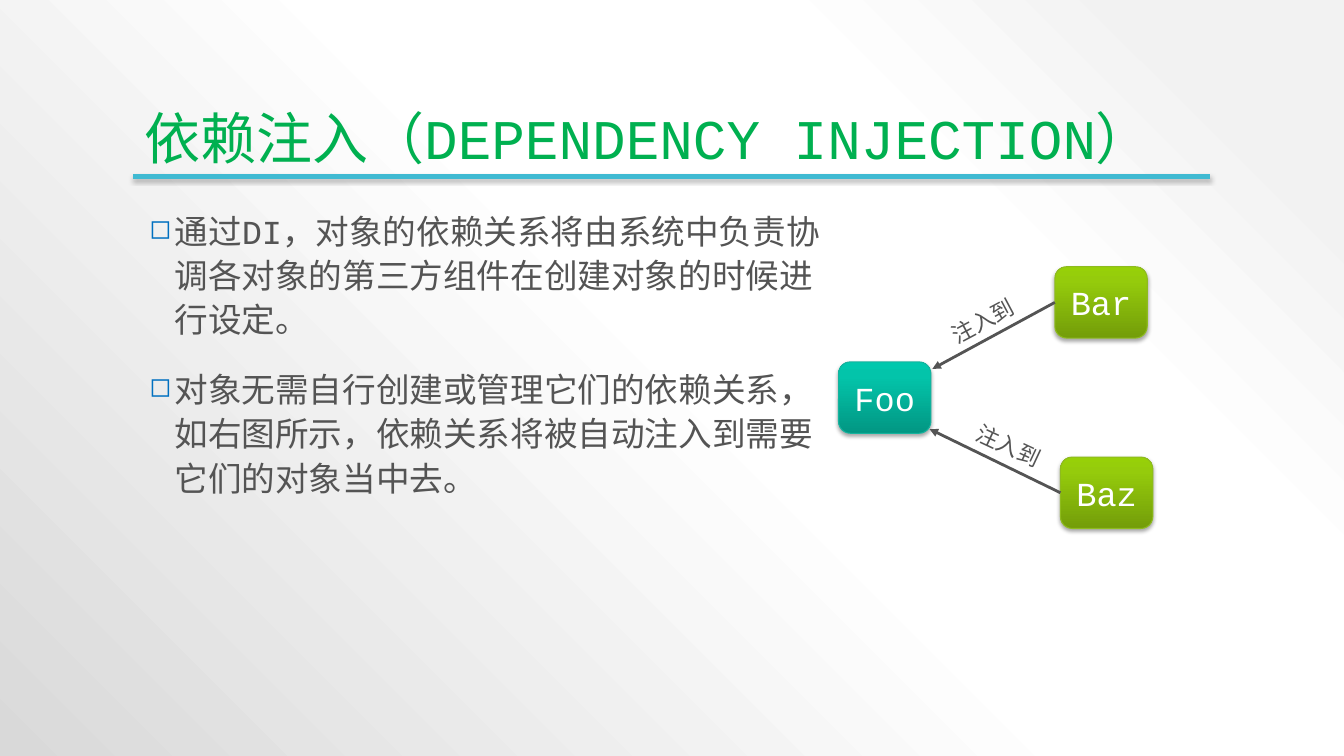
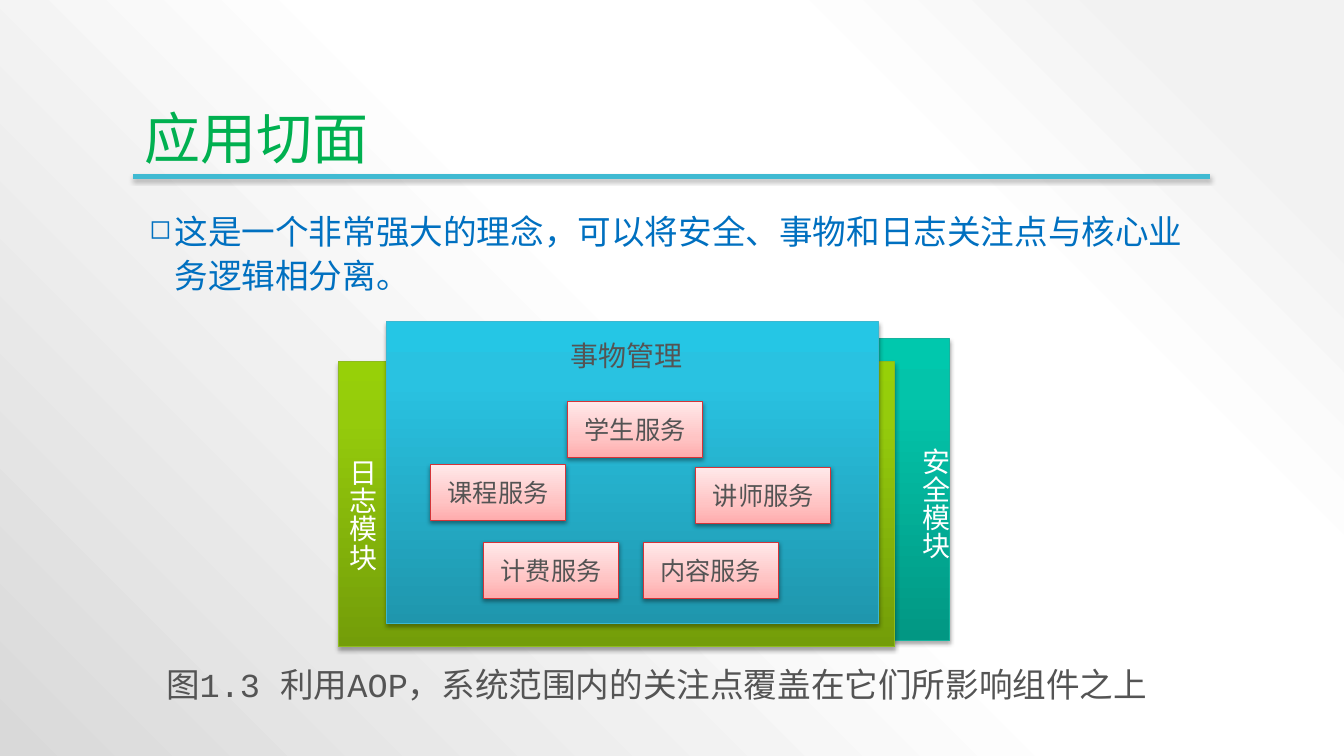
"""Two slides on dependency injection and aspects, with one shared look."""
from lxml.etree import SubElement
from pptx import Presentation
from pptx.dml.color import RGBColor
from pptx.enum.shapes import MSO_CONNECTOR, MSO_SHAPE
from pptx.enum.text import MSO_ANCHOR, MSO_AUTO_SIZE, PP_ALIGN
from pptx.oxml.ns import qn
from pptx.util import Pt

FONT = "Courier New"
COLORS = {"title": "00B050", "text": "545454", "accent": "0070C0",
          "rule": "40BAD2", "white": "FFFFFF", "shadow": "000000"}
BACKGROUND = [(10, "F2F2F2"), (28, "FFFFFF"), (48, "FFFFFF"), (100, "D9D9D9")]
STYLES = {
    "teal": {"stops": [(0, "029783"), (80, "03C4AA"), (100, "00C8AD")],
             "line": "16B39E", "shadow": (35, 1.8)},
    "green": {"stops": [(0, "739D09"), (80, "95CB0C"), (100, "97D008")],
              "line": "8EBB1F", "shadow": (35, 1.8)},
    "blue": {"stops": [(0, "1F96AD"), (80, "29C2E1"), (100, "25C6E5")],
             "line": "3BB8D1", "shadow": (35, 1.8)},
    "pink": {"stops": [(0, "FFABAC"), (35, "FFC4C4"), (100, "FFE8E9")],
             "line": "D43438", "shadow": (38, 1.6)},
}

INJECTION = {
    "title": "依赖注入（DEPENDENCY INJECTION）",
    "bullets": ["通过DI，对象的依赖关系将由系统中负责协调各对象的第三方组件在创建对象的时候进行设定。",
                "对象无需自行创建或管理它们的依赖关系，如右图所示，依赖关系将被自动注入到需要它们的对象当中去。"],
    "body": (96, 144, 500, 342),
    "target": ("Foo", 599, 258.5),
    "sources": [("Bar", 753.5, 190.5, (666, 263.5), (671.5, 217.5), 332),
                ("Baz", 757.5, 326.5, (664, 306.5), (689, 307.5), 25)],
    "arrow label": "注入到",
}
NODE_SIZE = (66, 51)

ASPECTS = {
    "title": "应用切面",
    "bullets": ["这是一个非常强大的理念，可以将安全、事物和日志关注点与核心业务逻辑相分离。"],
    "body": (96, 144, 768, 75),
    "panels": [("teal", (327, 242, 351.5, 215.5)),
               ("green", (242, 258.5, 397, 203.5)),
               ("blue", (276, 230, 351.5, 215.5))],
    "side labels": [("安全模块", 644.5, 312.5), ("日志模块", 235.5, 321)],
    "panel label": ("事物管理", (400.5, 241, 96.5, 29)),
    "services": [("学生服务", 405.5, 287), ("课程服务", 307.5, 332),
                 ("讲师服务", 497, 334), ("计费服务", 345.5, 387.5),
                 ("内容服务", 459.5, 387.5)],
    "caption": ("图1.3 利用AOP，系统范围内的关注点覆盖在它们所影响组件之上",
                (111.5, 474, 722, 33)),
}
SERVICE_SIZE = (96.5, 40)


def points(values):
    return [Pt(value) for value in values]


def add_node(parent, tag, **attributes):
    node = SubElement(parent, qn(tag))
    for name, value in attributes.items():
        node.set(name, str(value))
    return node


def fill_gradient(fill, element, stops, radial=False):
    fill.gradient()
    gradient = next(element.iter(qn("a:gradFill")))
    for child in list(gradient):
        gradient.remove(child)
    stop_list = add_node(gradient, "a:gsLst")
    for position, color in stops:
        stop = add_node(stop_list, "a:gs", pos=position * 1000)
        add_node(stop, "a:srgbClr", val=color)
    if radial:
        path = add_node(gradient, "a:path", path="circle")
        add_node(path, "a:fillToRect", l=100000, b=100000)
    else:
        add_node(gradient, "a:lin", ang=16200000, scaled=0)


def add_shadow(effects, opacity, distance):
    shadow = add_node(effects, "a:outerShdw", blurRad=Pt(3.1), dist=Pt(distance),
                      dir=5400000, rotWithShape=0)
    color = add_node(shadow, "a:srgbClr", val=COLORS["shadow"])
    add_node(color, "a:alpha", val=opacity * 1000)


def write(paragraph, text, size, color, spacing=None):
    paragraph.line_spacing = spacing
    run = paragraph.add_run()
    run.text = text
    run.font.name = FONT
    run.font.size = Pt(size)
    run.font.color.rgb = RGBColor.from_string(COLORS[color])


def add_line(slide, start, end, color, width):
    connector = slide.shapes.add_connector(MSO_CONNECTOR.STRAIGHT, *points(start + end))
    connector.line.color.rgb = RGBColor.from_string(COLORS[color])
    connector.line.width = Pt(width)
    effects = add_node(connector.element.spPr, "a:effectLst")
    return connector, effects


def add_box(slide, preset, box, style_name, text="", size=18, color="text"):
    style = STYLES[style_name]
    shape = slide.shapes.add_shape(preset, *points(box))
    fill_gradient(shape.fill, shape.element, style["stops"])
    shape.line.color.rgb = RGBColor.from_string(style["line"])
    shape.line.width = Pt(0.75)
    shape.shadow.inherit = False
    add_shadow(shape.element.spPr.find(qn("a:effectLst")), *style["shadow"])
    if text:
        shape.text_frame.vertical_anchor = MSO_ANCHOR.MIDDLE
        paragraph = shape.text_frame.paragraphs[0]
        paragraph.alignment = PP_ALIGN.CENTER
        write(paragraph, text, size, color)
    return shape


def add_label(slide, box, text, size, color="text", wrap=False, rotation=0, vertical=False):
    label = slide.shapes.add_textbox(*points(box))
    label.rotation = rotation
    frame = label.text_frame
    frame.word_wrap = wrap
    frame.auto_size = MSO_AUTO_SIZE.SHAPE_TO_FIT_TEXT
    if vertical:
        label.element.txBody.find(qn("a:bodyPr")).set("vert", "eaVert")
    write(frame.paragraphs[0], text, size, color, 0.9)


def add_bullets(slide, box, bullets, color):
    frame = slide.shapes.add_textbox(*points(box)).text_frame
    frame.word_wrap = True
    for index, text in enumerate(bullets):
        paragraph = frame.add_paragraph() if index else frame.paragraphs[0]
        write(paragraph, text, 24, color, 1.1)
        paragraph.space_before = Pt(18)
        properties = paragraph._p.get_or_add_pPr()
        properties.set("marL", str(Pt(21.6)))
        properties.set("indent", str(Pt(-18)))
        add_node(add_node(properties, "a:buClr"), "a:srgbClr", val=COLORS["accent"])
        add_node(properties, "a:buSzPct", val=80000)
        add_node(properties, "a:buChar", char="◻")


def add_slide(presentation, content, body_color):
    slide = presentation.slides.add_slide(presentation.slide_layouts[5])
    rule, effects = add_line(slide, (95, 126), (864, 126), "rule", 3)
    add_shadow(effects, 35, 1.8)
    title = slide.shapes.title
    title.left, title.top, title.width, title.height = points((96, 21.5, 768, 104.5))
    title.text_frame.vertical_anchor = MSO_ANCHOR.BOTTOM
    paragraph = title.text_frame.paragraphs[0]
    paragraph.alignment = PP_ALIGN.LEFT
    write(paragraph, content["title"], 40, "title", 0.9)
    add_bullets(slide, content["body"], content["bullets"], body_color)
    return slide


def build_injection(presentation):
    slide = add_slide(presentation, INJECTION, "text")
    name, left, top = INJECTION["target"]
    add_box(slide, MSO_SHAPE.ROUNDED_RECTANGLE, (left, top, *NODE_SIZE),
            "teal", name, 24, "white")
    for name, left, top, tip, label_corner, rotation in INJECTION["sources"]:
        source = add_box(slide, MSO_SHAPE.ROUNDED_RECTANGLE, (left, top, *NODE_SIZE),
                         "green", name, 24, "white")
        arrow, effects = add_line(slide, (left, top + NODE_SIZE[1] / 2), tip, "text", 2)
        arrow.begin_connect(source, 1)
        add_node(arrow.line._get_or_add_ln(), "a:tailEnd", type="triangle")
        add_label(slide, (*label_corner, 63.5, 24.5), INJECTION["arrow label"], 16,
                  rotation=rotation)


def build_aspects(presentation):
    slide = add_slide(presentation, ASPECTS, "accent")
    for style_name, box in ASPECTS["panels"]:
        add_box(slide, MSO_SHAPE.RECTANGLE, box, style_name)
    for text, left, top in ASPECTS["side labels"]:
        add_label(slide, (left, top, 36.5, 88), text, 20, "white", vertical=True)
    text, box = ASPECTS["panel label"]
    add_label(slide, box, text, 20, wrap=True)
    for text, left, top in ASPECTS["services"]:
        add_box(slide, MSO_SHAPE.RECTANGLE, (left, top, *SERVICE_SIZE), "pink", text)
    text, box = ASPECTS["caption"]
    add_label(slide, box, text, 24, wrap=True)


def main():
    presentation = Presentation()
    presentation.slide_width, presentation.slide_height = points((960, 540))
    master = presentation.slide_master
    fill_gradient(master.background.fill, master.element, BACKGROUND, radial=True)
    build_injection(presentation)
    build_aspects(presentation)
    presentation.save("out.pptx")


if __name__ == "__main__":
    main()
